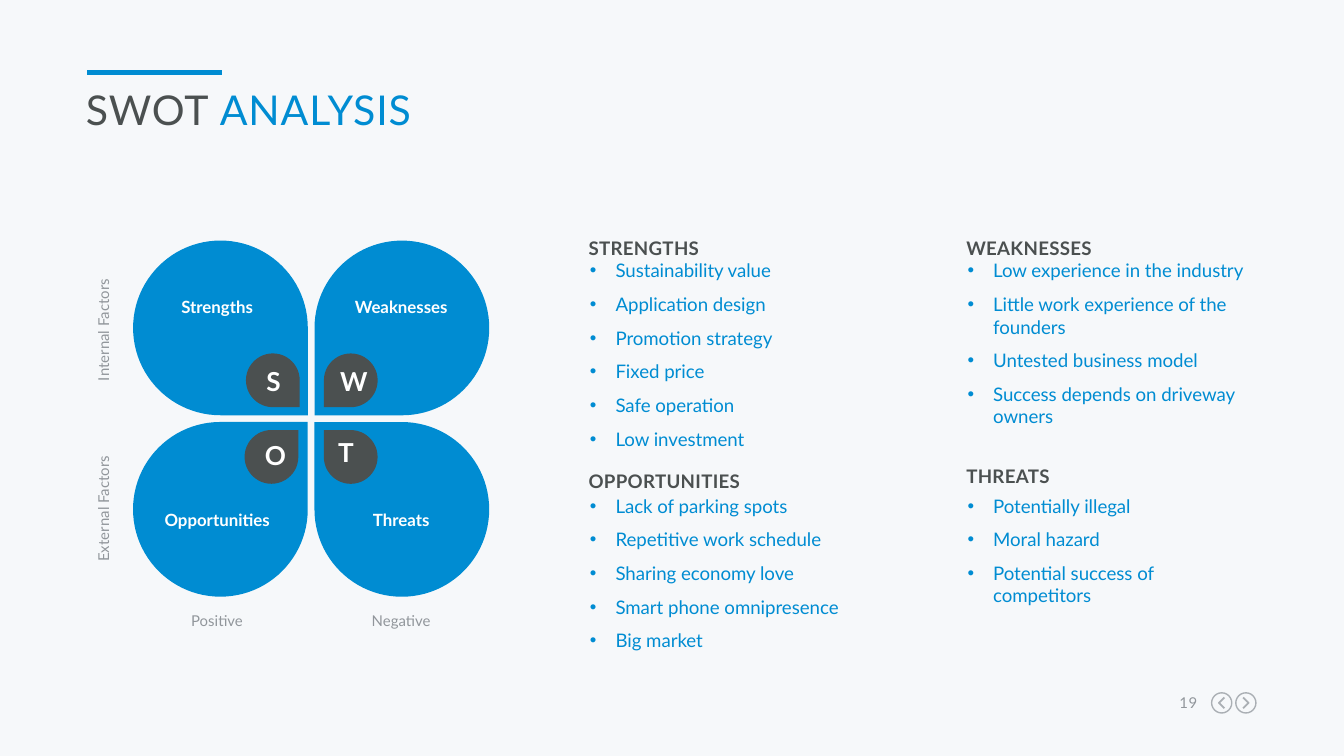
"""Build a SWOT analysis slide with a four-petal diagram and bulleted findings."""
from dataclasses import dataclass

from lxml import etree
from pptx import Presentation
from pptx.dml.color import RGBColor
from pptx.enum.shapes import MSO_CONNECTOR, MSO_SHAPE
from pptx.enum.text import PP_ALIGN
from pptx.oxml.ns import qn
from pptx.util import Inches, Pt

STRAIGHT = MSO_CONNECTOR.STRAIGHT
TEARDROP, OVAL = MSO_SHAPE.TEAR, MSO_SHAPE.OVAL
LEFT, CENTER, RIGHT = PP_ALIGN.LEFT, PP_ALIGN.CENTER, PP_ALIGN.RIGHT

FONT, BULLET_FONT = "Lato", "Arial"
BLUE, DARK, WHITE = "008CD2", "4B5050", "FFFFFF"
GRAY, ICON_GRAY, PAPER = "91969B", "AAAFB4", "F6F8FA"
PETAL_SIZE, BADGE_SIZE, ICON_SIZE = 1.3, 0.4, 0.15
PETAL_X, PETAL_Y = (0.99, 2.34), (1.79, 3.14)
LABEL_X, LABEL_Y, LABEL_WIDTH = (1.17, 2.54), (2.21, 3.79), 0.89
LIST_X, LIST_Y, LIST_WIDTH = (4.39, 7.2), (1.93, 3.68), 2.14


@dataclass(frozen=True)
class Quadrant:
    """One SWOT category: its grid place, badge, letter and findings."""
    name: str
    column: int
    row: int
    rotation: int
    badge: tuple[float, float]
    letter: tuple[float, float]
    heading_top: float
    findings: tuple[str, ...]


QUADRANTS = (
    Quadrant("Strengths", 0, 0, 90, (1.83, 2.63), (1.96, 2.72), 1.69, (
        "Sustainability value", "Application design", "Promotion strategy",
        "Fixed price", "Safe operation", "Low investment")),
    Quadrant("Weaknesses", 1, 0, 180, (2.41, 2.63), (2.53, 2.72), 1.69, (
        "Low experience in the industry", "Little work experience of the founders",
        "Untested business model", "Success depends on driveway owners")),
    Quadrant("Opportunities", 0, 1, 0, (1.82, 3.2), (1.97, 3.27), 3.43, (
        "Lack of parking spots", "Repetitive work schedule", "Sharing economy love",
        "Smart phone omnipresence", "Big market")),
    Quadrant("Threats", 1, 1, 270, (2.41, 3.2), (2.5, 3.25), 3.39, (
        "Potentially illegal", "Moral hazard", "Potential success of competitors")),
)


def rgb(color: str) -> RGBColor:
    """Turn a hex string into a colour."""
    return RGBColor.from_string(color)


def add_text(slide, lines, left: float, top: float, width: float, height: float, *,
             size: float, color: str, accent: str = "", bold: bool = False,
             align=LEFT, tracking: float = 0, rotation: int = 0,
             leading: float = 0, after: float = 0, bullets: bool = False) -> None:
    """Add a text box with one paragraph per line; accent is a closing blue run."""
    box = slide.shapes.add_textbox(Inches(left), Inches(top), Inches(width), Inches(height))
    box.rotation = rotation
    frame = box.text_frame
    frame.word_wrap = True
    frame.margin_left = frame.margin_right = frame.margin_top = frame.margin_bottom = 0
    for index, line in enumerate(lines):
        paragraph = frame.add_paragraph() if index else frame.paragraphs[0]
        paragraph.alignment = align
        paragraph.space_after = Pt(after)
        if leading:
            paragraph.line_spacing = Pt(leading)
        if bullets:
            properties = paragraph._p.get_or_add_pPr()
            properties.set("marL", str(Inches(0.19)))
            properties.set("indent", str(Inches(-0.19)))
            etree.SubElement(properties, qn("a:buFont")).set("typeface", BULLET_FONT)
            etree.SubElement(properties, qn("a:buChar")).set("char", "•")
        for words, tint in ((line, color), (accent, BLUE)):
            if not words:
                continue
            run = paragraph.add_run()
            run.text = words
            run.font.name, run.font.size, run.font.bold = FONT, Pt(size), bold
            run.font.color.rgb = rgb(tint)
            if tracking:
                run._r.get_or_add_rPr().set("spc", str(round(tracking * 100)))


def add_teardrop(slide, left: float, top: float, size: float, color: str,
                 rotation: int) -> None:
    """Add a filled teardrop whose tip is turned by rotation."""
    drop = slide.shapes.add_shape(TEARDROP, Inches(left), Inches(top),
                                  Inches(size), Inches(size))
    drop.rotation = rotation
    drop.shadow.inherit = False
    drop.fill.solid()
    drop.fill.fore_color.rgb = rgb(color)
    drop.line.fill.background()


def add_title_rule(slide) -> None:
    """Add the blue line above the title."""
    rule = slide.shapes.add_connector(STRAIGHT, Inches(0.65), Inches(0.54),
                                      Inches(1.65), Inches(0.54))
    rule.line.color.rgb = rgb(BLUE)
    rule.line.width = Pt(2.25)
    etree.SubElement(rule._element.spPr, qn("a:effectLst"))


def add_nav_icon(slide, center_x: float, center_y: float, direction: int) -> None:
    """Add a ringed chevron pointing left (-1) or right (1)."""
    ring = slide.shapes.add_shape(
        OVAL, Inches(center_x - ICON_SIZE / 2), Inches(center_y - ICON_SIZE / 2),
        Inches(ICON_SIZE), Inches(ICON_SIZE))
    back, tip = center_x - 0.02 * direction, center_x + 0.02 * direction
    builder = slide.shapes.build_freeform(
        Inches(back), Inches(center_y - 0.04), scale=1.0)
    builder.add_line_segments(
        [(Inches(tip), Inches(center_y)), (Inches(back), Inches(center_y + 0.04))],
        close=False)
    for outline, weight in ((ring, 0.75), (builder.convert_to_shape(), 1)):
        outline.shadow.inherit = False
        outline.fill.background()
        outline.line.color.rgb = rgb(ICON_GRAY)
        outline.line.width = Pt(weight)


def add_quadrant(slide, quadrant: Quadrant) -> None:
    """Add a petal with its badge and label, and the matching findings."""
    column, row = quadrant.column, quadrant.row
    add_teardrop(slide, PETAL_X[column], PETAL_Y[row], PETAL_SIZE, BLUE, quadrant.rotation)
    add_teardrop(slide, *quadrant.badge, BADGE_SIZE, DARK, quadrant.rotation)
    add_text(slide, [quadrant.name[0]], *quadrant.letter, 0.15, 0.24,
             size=14, color=WHITE, bold=True, align=CENTER)
    add_text(slide, [quadrant.name], LABEL_X[column], LABEL_Y[row], LABEL_WIDTH, 0.15,
             size=9, color=WHITE, bold=True, align=CENTER)
    add_text(slide, [quadrant.name.upper()], LIST_X[column] - 0.01, quadrant.heading_top,
             LIST_WIDTH, 0.21, size=10, color=DARK, bold=True, tracking=0.2,
             leading=17, after=6)
    add_text(slide, quadrant.findings, LIST_X[column], LIST_Y[row], LIST_WIDTH,
             0.25 * len(quadrant.findings), size=10, color=BLUE, after=6, bullets=True)


def main() -> None:
    """Build and save the presentation."""
    deck = Presentation()
    deck.slide_width = Inches(10)
    deck.slide_height = Inches(10 * 9 / 16)
    slide = deck.slides.add_slide(deck.slide_layouts[6])
    slide.background.fill.solid()
    slide.background.fill.fore_color.rgb = rgb(PAPER)

    add_title_rule(slide)
    add_text(slide, ["SWOT "], 0.64, 0.63, 8.7, 0.42,
             size=22, color=DARK, accent="ANALYSIS", tracking=0.5)
    for quadrant in QUADRANTS:
        add_quadrant(slide, quadrant)
    for outcome, left in zip(("Positive", "Negative"), LABEL_X):
        add_text(slide, [outcome], left, 4.55, LABEL_WIDTH, 0.13,
                 size=8, color=GRAY, align=CENTER)
    for origin, top in (("Internal Factors", 2.39), ("External Factors", 3.72)):
        add_text(slide, [origin], 0.32, top, LABEL_WIDTH, 0.13,
                 size=8, color=GRAY, align=CENTER, rotation=270)
    add_text(slide, ["19"], 8.68, 5.16, 0.23, 0.13,
             size=8, color=GRAY, align=RIGHT, tracking=0.3)
    for center_x, direction in ((9.09, -1), (9.27, 1)):
        add_nav_icon(slide, center_x, 5.23, direction)
    deck.save("out.pptx")


if __name__ == "__main__":
    main()
